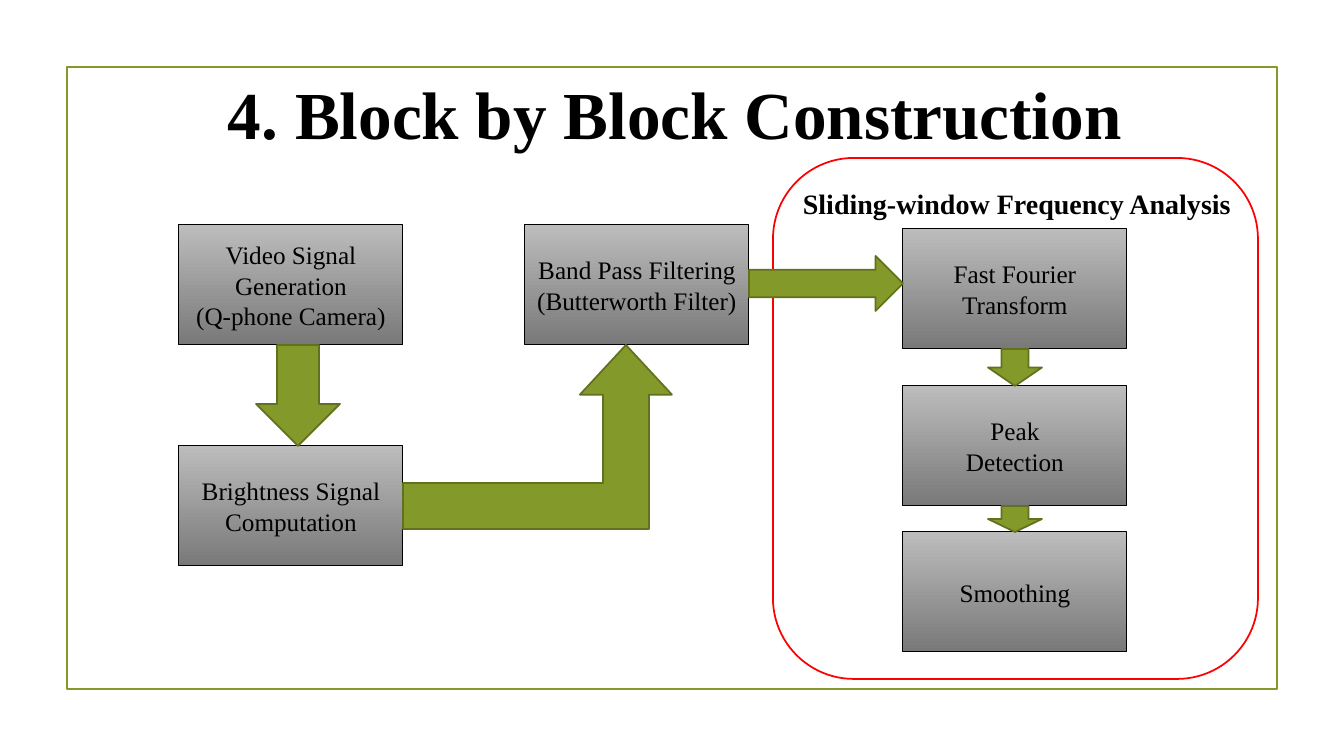
from dataclasses import dataclass
from typing import NamedTuple

from pptx import Presentation
from pptx.dml.color import RGBColor
from pptx.enum.shapes import MSO_SHAPE
from pptx.enum.text import MSO_ANCHOR, PP_ALIGN
from pptx.util import Pt

PX = 914400 / 100.8  # EMU in one px


@dataclass(frozen=True)
class Theme:
    font: str = "Times New Roman"
    text: RGBColor = RGBColor(0x00, 0x00, 0x00)
    green: RGBColor = RGBColor(0x83, 0x99, 0x2A)
    dark_green: RGBColor = RGBColor(0x61, 0x71, 0x1F)
    red: RGBColor = RGBColor(0xFF, 0x00, 0x00)
    block_top: RGBColor = RGBColor(0xBC, 0xBC, 0xBC)
    block_bottom: RGBColor = RGBColor(0x79, 0x79, 0x79)
    title_size: int = 48
    label_size: int = 20
    block_size: int = 18
    line: float = 1.25
    thin_line: float = 0.75


THEME = Theme()


class Box(NamedTuple):
    left: int
    top: int
    width: int
    height: int

    @property
    def right(self):
        return self.left + self.width

    @property
    def bottom(self):
        return self.top + self.height

    @property
    def center(self):
        return self.left + self.width // 2

    def inner(self, left, top, width, height):
        return Box(self.left + left, self.top + top, width, height)

    def emu(self):
        return [round(length * PX) for length in self]


BLOCK_SIZE = (224, 120)


def add_outline(slide, kind, box, color, width=THEME.line):
    shape = slide.shapes.add_shape(kind, *box.emu())
    shape.shadow.inherit = False
    shape.fill.background()
    shape.line.color.rgb = color
    shape.line.width = Pt(width)
    return shape


def write(frame, lines, size, bold=False, align=PP_ALIGN.LEFT):
    frame.word_wrap = True
    frame.text = "\n".join(lines)
    for paragraph in frame.paragraphs:
        paragraph.alignment = align
        paragraph.font.name = THEME.font
        paragraph.font.size = Pt(size)
        paragraph.font.bold = bold
        paragraph.font.color.rgb = THEME.text


def add_heading(slide, box, text, size):
    textbox = slide.shapes.add_textbox(*box.emu())
    write(textbox.text_frame, [text], size, bold=True)


def add_block(slide, box, *lines):
    shape = add_outline(slide, MSO_SHAPE.RECTANGLE, box, THEME.text, THEME.thin_line)
    shape.fill.gradient()
    shape.fill.gradient_angle = 270
    for stop, color in zip(shape.fill.gradient_stops, (THEME.block_top, THEME.block_bottom)):
        stop.color.rgb = color
    shape.text_frame.vertical_anchor = MSO_ANCHOR.MIDDLE
    write(shape.text_frame, lines, THEME.block_size, align=PP_ALIGN.CENTER)


def add_arrow(slide, kind, box):
    shape = add_outline(slide, kind, box, THEME.dark_green)
    shape.fill.solid()
    shape.fill.fore_color.rgb = THEME.green
    return shape


def add_down_arrow(slide, center, top, bottom, width):
    box = Box(center - width // 2, top, width, bottom - top)
    add_arrow(slide, MSO_SHAPE.DOWN_ARROW, box)


def add_signal_flow(slide, box):
    """Camera, brightness and filter blocks; returns the filter's box."""
    video = box.inner(0, 0, *BLOCK_SIZE)
    brightness = box.inner(0, 221, *BLOCK_SIZE)
    band_pass = box.inner(346, 0, *BLOCK_SIZE)

    add_block(slide, video, "Video Signal Generation", "(Q-phone Camera)")
    add_block(slide, brightness, "Brightness Signal Computation")
    add_block(slide, band_pass, "Band Pass Filtering", "(Butterworth Filter)")

    # Arrows from camera to brightness to filter
    add_down_arrow(slide, video.center + 7, video.bottom, brightness.top, 84)
    bend = Box(brightness.right, band_pass.bottom, 269, 184)
    arrow = add_arrow(slide, MSO_SHAPE.BENT_UP_ARROW, bend)
    arrow.adjustments[2] = 0.27
    return band_pass


def add_frequency_analysis(slide, box):
    """Red panel with its column of blocks; returns the first block's box."""
    add_outline(slide, MSO_SHAPE.ROUNDED_RECTANGLE, box, THEME.red)
    steps = [
        (71, ["Fast Fourier Transform"]),
        (228, ["Peak", "Detection"]),
        (374, ["Smoothing"]),
    ]
    blocks = [box.inner(130, top, *BLOCK_SIZE) for top, _ in steps]
    for block, (_, lines) in zip(blocks, steps):
        add_block(slide, block, *lines)
    for upper, lower in zip(blocks, blocks[1:]):
        add_down_arrow(slide, upper.center, upper.bottom, lower.top, 54)
    add_heading(slide, box.inner(20, 24, 490, 44),
                "Sliding-window Frequency Analysis", THEME.label_size)
    return blocks[0]


def build_slide(slide, box):
    # Frame and title
    frame = box.inner(67, 67, 1210, 622)
    add_outline(slide, MSO_SHAPE.RECTANGLE, frame, THEME.green)
    add_heading(slide, frame.inner(151, 0, 1004, 92),
                "4. Block by Block Construction", THEME.title_size)

    # Two regions and the arrow that joins them
    band_pass = add_signal_flow(slide, frame.inner(112, 158, 570, 341))
    fourier = add_frequency_analysis(slide, frame.inner(706, 91, 485, 521))
    joint = Box(band_pass.right, 256, fourier.left - band_pass.right, 55)
    add_arrow(slide, MSO_SHAPE.RIGHT_ARROW, joint)


def main():
    page = Box(0, 0, 1344, 756)
    presentation = Presentation()
    _, _, presentation.slide_width, presentation.slide_height = page.emu()
    slide = presentation.slides.add_slide(presentation.slide_layouts[6])
    build_slide(slide, page)
    presentation.save("out.pptx")


if __name__ == "__main__":
    main()
